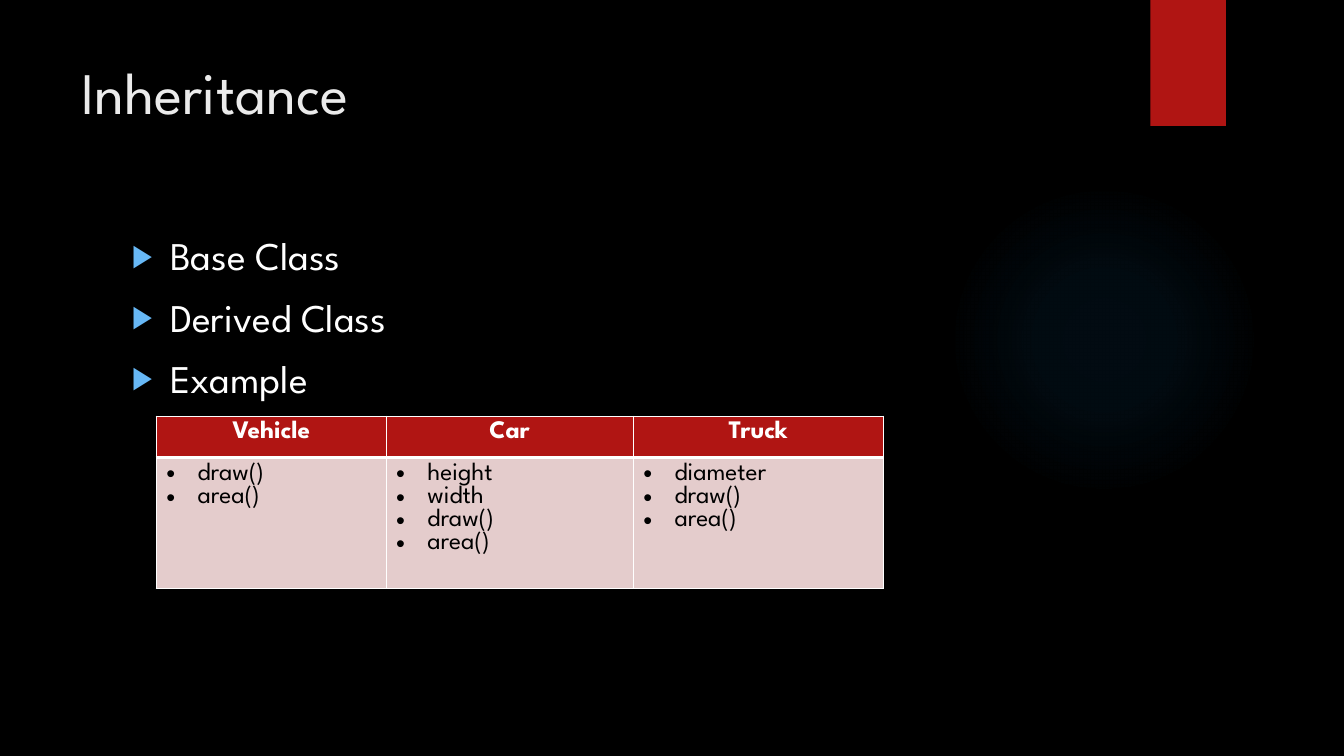
import lxml.etree
import pptx
import pptx.dml.color
import pptx.enum.shapes
import pptx.enum.text
import pptx.oxml
import pptx.oxml.ns
import pptx.util

Inches = pptx.util.Inches
Pt = pptx.util.Pt
qn = pptx.oxml.ns.qn
SubElement = lxml.etree.SubElement
NAMESPACE = pptx.oxml.ns.nsdecls("a")
FONT = "League Spartan"
COLORS = {
    "background": "000000", "glow": "1C95F2", "red": "B01513", "title": "EBEBEB",
    "white": "FFFFFF", "black": "000000", "marker": "67B8F6", "cell": "E4CCCC",
}


def rgb(name):
    return pptx.dml.color.RGBColor.from_string(COLORS[name])


def style(para, text, size, color, indent=0, bullet=None, marker=None):
    """Fill a paragraph; marker gives the bullet its own colour and 80% size."""
    para.text = text
    para.font.name = FONT
    para.font.size = Pt(size)
    para.font.color.rgb = rgb(color)
    if bullet:
        properties = para._p.get_or_add_pPr()
        properties.set("marL", str(Inches(indent)))
        properties.set("indent", str(-Inches(indent)))
        if marker:
            bullet_color = SubElement(properties, qn("a:buClr"))
            SubElement(bullet_color, qn("a:srgbClr"), val=COLORS[marker])
            SubElement(properties, qn("a:buSzPct"), val="80000")
        SubElement(properties, qn("a:buFont"), typeface="Arial")
        SubElement(properties, qn("a:buChar"), char=bullet)
        # Default run properties must follow the bullet.
        properties.append(properties.find(qn("a:defRPr")))


deck = pptx.Presentation()
deck.slide_width = Inches(13.33)
deck.slide_height = Inches(7.5)
page = deck.slides.add_slide(deck.slide_layouts[6])
page.background.fill.solid()
page.background.fill.fore_color.rgb = rgb("background")

# Soft glow
glow = page.shapes.add_shape(
    pptx.enum.shapes.MSO_SHAPE.OVAL, Inches(9.41), Inches(1.83), Inches(3.08), Inches(3.08))
glow.shadow.inherit = False
glow.line.fill.background()
stops = "".join(
    f'<a:gs pos="{place * 1000}"><a:srgbClr val="{COLORS["glow"]}">'
    f'<a:alpha val="{alpha * 1000}"/></a:srgbClr></a:gs>'
    for place, alpha in [(0, 7), (36, 6), (69, 0)])
gradient = pptx.oxml.parse_xml(
    f'<a:gradFill {NAMESPACE}><a:gsLst>{stops}</a:gsLst><a:path path="circle">'
    '<a:fillToRect l="50000" t="50000" r="50000" b="50000"/></a:path></a:gradFill>')
glow._element.spPr.find(qn("a:prstGeom")).addnext(gradient)

# Red tab
tab = page.shapes.add_shape(
    pptx.enum.shapes.MSO_SHAPE.RECTANGLE, Inches(11.41), 0, Inches(0.75), Inches(1.25))
tab.shadow.inherit = False
tab.fill.solid()
tab.fill.fore_color.rgb = rgb("red")
tab.line.fill.background()
shadow = pptx.oxml.parse_xml(
    f'<a:outerShdw {NAMESPACE} blurRad="{Pt(3)}" dist="{Pt(2)}" dir="5400000">'
    f'<a:srgbClr val="{COLORS["black"]}"><a:alpha val="45000"/></a:srgbClr></a:outerShdw>')
tab._element.spPr.find(qn("a:effectLst")).append(shadow)

# Title
title = page.shapes.add_textbox(Inches(0.71), Inches(0.5), Inches(10.29), Inches(1.53))
title.text_frame.word_wrap = True
style(title.text_frame.paragraphs[0], "Inheritance", 42, "title")

# Topics
body = page.shapes.add_textbox(Inches(1.21), Inches(2.25), Inches(9.78), Inches(4.59))
body.text_frame.word_wrap = True
for index, topic in enumerate(["Base Class", "Derived Class", "Example"]):
    para = body.text_frame.add_paragraph() if index else body.text_frame.paragraphs[0]
    para.space_before = Pt(10)
    style(para, topic, 28, "white", 0.38, "▶", "marker")

# Class table
classes = {
    "Vehicle": ["draw()", "area()"],
    "Car": ["height", "width", "draw()", "area()"],
    "Truck": ["diameter", "draw()", "area()"],
}
table = page.shapes.add_table(
    2, len(classes), Inches(1.55), Inches(4.13), Inches(7.21), Inches(1.43)).table
table.rows[0].height = Inches(0.41)
table.rows[1].height = Inches(1.02)
for column, width in zip(table.columns, [2.28, 2.45, 2.48]):
    column.width = Inches(width)

for column, (name, members) in enumerate(classes.items()):
    header, content = table.cell(0, column), table.cell(1, column)
    style(header.text_frame.paragraphs[0], name, 18, "white")
    header.text_frame.paragraphs[0].font.bold = True
    header.text_frame.paragraphs[0].alignment = pptx.enum.text.PP_ALIGN.CENTER
    for index, member in enumerate(members):
        para = content.text_frame.add_paragraph() if index else content.text_frame.paragraphs[0]
        style(para, member, 18, "black", 0.31, "•")
    for cell, fill, top, bottom in [(header, "red", 1, 3), (content, "cell", 3, 1)]:
        properties = cell._tc.get_or_add_tcPr()
        for side, width in [("L", 1), ("R", 1), ("T", top), ("B", bottom)]:
            border = SubElement(properties, qn(f"a:ln{side}"), w=str(Pt(width)))
            SubElement(SubElement(border, qn("a:solidFill")), qn("a:srgbClr"), val=COLORS["white"])
        cell.fill.solid()
        cell.fill.fore_color.rgb = rgb(fill)

deck.save("out.pptx")
